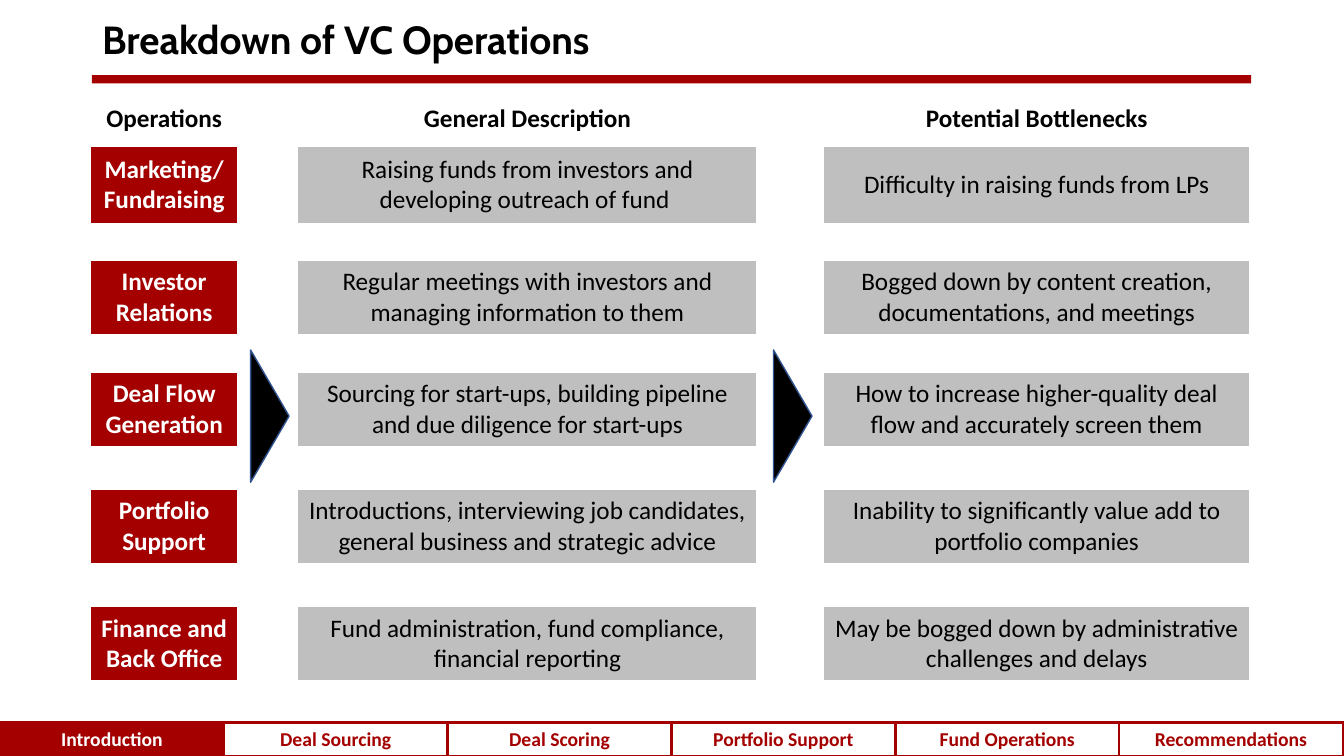
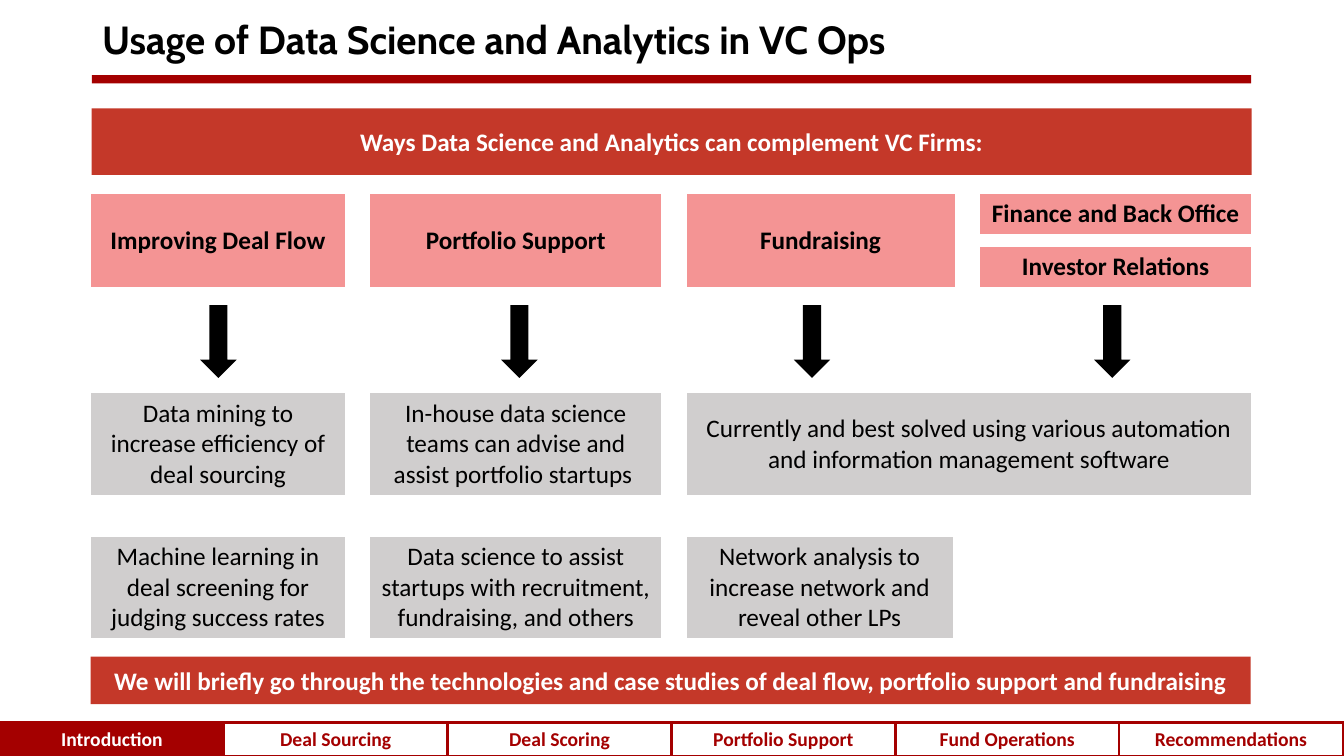
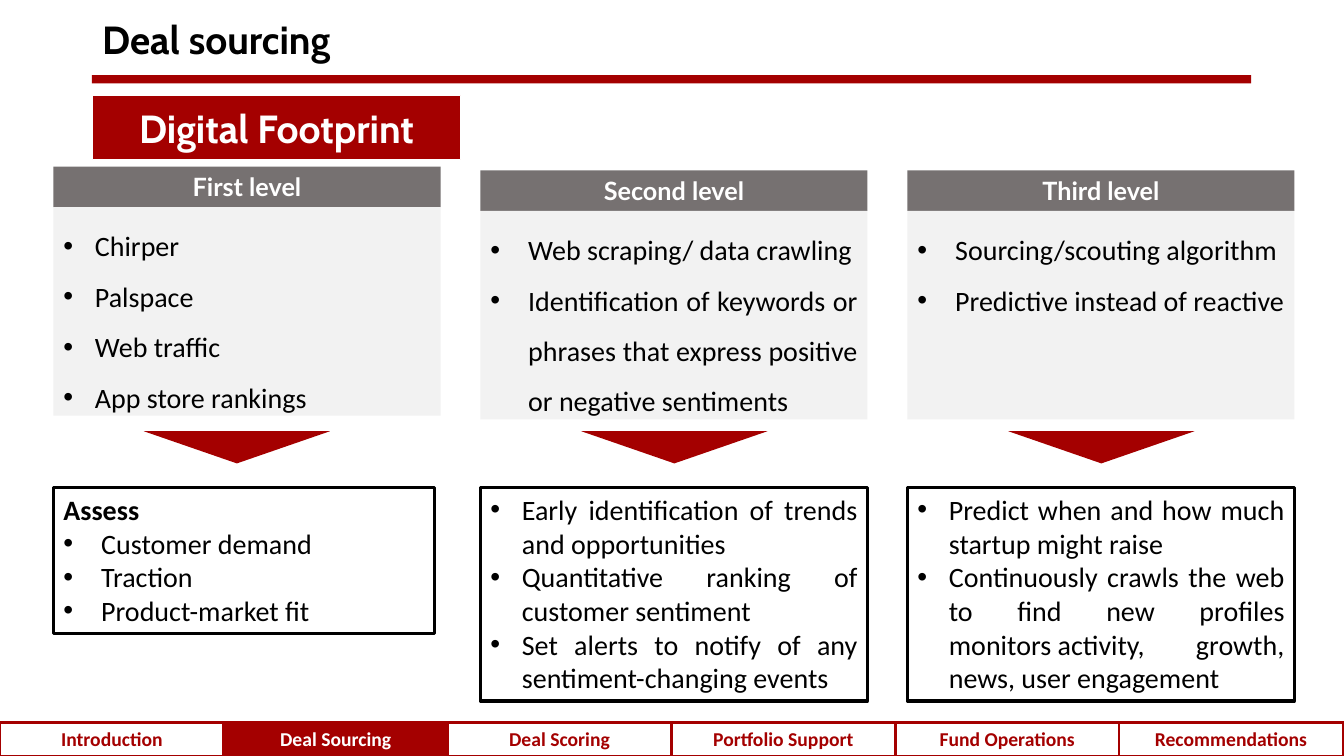
from lxml import etree
from pptx import Presentation
from pptx.dml.color import RGBColor
from pptx.enum.shapes import MSO_SHAPE
from pptx.enum.text import MSO_ANCHOR, MSO_AUTO_SIZE, PP_ALIGN
from pptx.oxml.ns import qn
from pptx.util import Pt

RECT, TRIANGLE, DOWN_ARROW = MSO_SHAPE.RECTANGLE, MSO_SHAPE.ISOSCELES_TRIANGLE, MSO_SHAPE.DOWN_ARROW
TOP, MIDDLE = MSO_ANCHOR.TOP, MSO_ANCHOR.MIDDLE
LEFT, CENTER, JUSTIFY = PP_ALIGN.LEFT, PP_ALIGN.CENTER, PP_ALIGN.JUSTIFY
NO_AUTOSIZE = MSO_AUTO_SIZE.NONE
NBSP = chr(160)

COLORS = {
    "red": "A40000", "brick": "C43829", "pink": "F49494",
    "black": "000000", "white": "FFFFFF", "navy": "325491",
    "silver": "BFBFBF", "stone": "D0CECE", "smoke": "F2F2F2", "slate": "767171",
}
HEADING, BODY, LEVEL = "Cabin", "Calibri", "Lato"
SECTIONS = ["Introduction", "Deal Sourcing", "Deal Scoring",
            "Portfolio Support", "Fund Operations", "Recommendations"]
CELL_STYLES = {
    "head": dict(fill=None, bold=True),
    "label": dict(fill="red", color="white", bold=True),
    "fact": dict(fill="silver"),
    "area": dict(fill="pink", bold=True),
    "use": dict(fill="stone"),
    "tab": dict(fill="white", color="red", bold=True, size=14),
    "active": dict(fill="red", color="white", bold=True, size=14),
}


def rgb(name):
    return RGBColor.from_string(COLORS[name])


def set_fill(fill, color):
    if color:
        fill.solid()
        fill.fore_color.rgb = rgb(color)
    else:
        fill.background()


def write(tf, text, size=18, font=BODY, color="black", bold=False,
          align=CENTER, spacing=None, indent=0):
    p = tf.paragraphs[0]
    if p.runs:
        p = tf.add_paragraph()
    p.alignment = align
    if spacing:
        p.line_spacing = spacing
    if indent:
        pPr = p._p.get_or_add_pPr()
        pPr.set("marL", str(Pt(indent)))
        pPr.set("indent", str(-Pt(indent)))
        etree.SubElement(pPr, qn("a:buFont")).set("typeface", "Arial")
        etree.SubElement(pPr, qn("a:buChar")).set("char", "•")
    r = p.add_run()
    r.text = text
    r.font.size, r.font.name, r.font.bold = Pt(size), font, bold
    r.font.color.rgb = rgb(color)


def add_box(slide, x, y, w, h, fill=None, line=None, line_width=1,
            kind=RECT, rotation=0, anchor=MIDDLE):
    sp = slide.shapes.add_shape(kind, Pt(x), Pt(y), Pt(w), Pt(h))
    sp.shadow.inherit = False
    sp.rotation = rotation
    set_fill(sp.fill, fill)
    set_fill(sp.line.fill, line)
    if line:
        sp.line.width = Pt(line_width)
    sp.text_frame.word_wrap = True
    sp.text_frame.vertical_anchor = anchor
    return sp.text_frame


def add_borders(cell, color, width):
    tcPr = cell._tc.get_or_add_tcPr()
    for side in ("lnL", "lnR", "lnT", "lnB"):
        ln = etree.SubElement(tcPr, qn("a:" + side))
        ln.set("w", str(Pt(width)))
        fill = etree.SubElement(ln, qn("a:solidFill"))
        etree.SubElement(fill, qn("a:srgbClr")).set("val", COLORS[color])


def shrink_blank(cell):
    end = etree.SubElement(cell.text_frame.paragraphs[0]._p, qn("a:endParaRPr"))
    end.set("sz", "100")
    cell.margin_top = cell.margin_bottom = 0


def add_grid(slide, x, y, widths, heights, content, merges=(), border=None):
    frame = slide.shapes.add_table(len(heights), len(widths), Pt(x), Pt(y),
                                   Pt(sum(widths)), Pt(sum(heights)))
    table = frame.table
    table.first_row = table.horz_banding = False
    for column, width in zip(table.columns, widths):
        column.width = Pt(width)
    for row, height in zip(table.rows, heights):
        row.height = Pt(height)
    for first, last in merges:
        table.cell(*first).merge(table.cell(*last))
    for i in range(len(heights)):
        for j in range(len(widths)):
            cell = table.cell(i, j)
            cell.vertical_anchor = MIDDLE
            if border:
                add_borders(cell, border, 2.25)
            text, style = content.get((i, j), ("", "head"))
            fmt = dict(CELL_STYLES[style])
            set_fill(cell.fill, fmt.pop("fill"))
            if text:
                write(cell.text_frame, text, **fmt)
            else:
                shrink_blank(cell)


def add_page(prs, title, section):
    slide = prs.slides.add_slide(prs.slide_layouts[5])
    sp = slide.shapes.title
    sp.left, sp.top, sp.width, sp.height = Pt(65.7), Pt(6), Pt(687), Pt(47.5)
    tf = sp.text_frame
    tf.auto_size, tf.vertical_anchor = NO_AUTOSIZE, MIDDLE
    write(tf, title, size=28, font=HEADING, bold=True, align=LEFT, spacing=0.9)
    add_box(slide, 65.7, 53.7, 828, 6, fill="red")
    tabs = {(0, j): (name, "active" if name == section else "tab")
            for j, name in enumerate(SECTIONS)}
    add_grid(slide, 0, 516, [159.9] * len(SECTIONS), [24], tabs, border="red")
    return slide


def operations_slide(prs):
    slide = add_page(prs, "Breakdown of VC Operations", "Introduction")
    heads = ["Operations", "General Description", "Potential Bottlenecks"]
    operations = [
        ("Marketing/ Fundraising",
         "Raising funds from investors and developing outreach of fund ",
         "Difficulty in raising funds from LPs"),
        ("Investor Relations",
         "Regular meetings with investors and managing information to them",
         "Bogged down by content creation, documentations, and meetings"),
        ("Deal Flow Generation",
         "Sourcing for start-ups, building pipeline and due diligence for start-ups",
         "How to increase higher-quality deal flow and accurately screen them"),
        ("Portfolio Support",
         "Introductions, interviewing job candidates, general business and strategic advice",
         "Inability to significantly value add to portfolio companies"),
        ("Finance and Back Office",
         "Fund administration, fund compliance, financial reporting",
         "May be bogged down by administrative challenges and delays"),
    ]
    content = {(0, 2 * j): (head, "head") for j, head in enumerate(heads)}
    for i, texts in enumerate(operations):
        for j, text in enumerate(texts):
            content[2 * i + 1, 2 * j] = (text, "fact" if j else "label")
    add_grid(slide, 64.8, 66, [105, 43, 328, 47.5, 304.5],
             [38.5, 55, 26.5, 53, 27, 53, 30.5, 53, 31, 53], content)
    for x in (145.5, 519):
        add_box(slide, x, 283.5, 94.5, 27.5, fill="black", line="navy",
                kind=TRIANGLE, rotation=90)


def analytics_slide(prs):
    slide = add_page(prs, "Usage of Data Science and Analytics in VC Ops", "Introduction")
    banners = [
        (65.5, 77.5, 47.5, "Ways Data Science and Analytics can complement VC Firms:"),
        (64.8, 469, 34, "We will briefly go through the technologies and case studies "
                        "of deal flow, portfolio support and fundraising"),
    ]
    for x, y, h, text in banners:
        write(add_box(slide, x, y, 828.5, h, fill="brick"), text, color="white", bold=True)
    widths = [182.5, 17, 208.5, 17, 192.5, 17, 194.5]
    areas = ["Improving Deal Flow", "Portfolio Support", "Fundraising", "Finance and Back Office"]
    content = {(0, 2 * j): (area, "area") for j, area in enumerate(areas)}
    content[2, 6] = ("Investor Relations", "area")
    add_grid(slide, 64.5, 138, widths, [29.5, 8.5, 29.5], content,
             merges=[((0, j), (2, j)) for j in (0, 2, 4)])
    for center in (156, 371, 580, 794.5):
        add_box(slide, center - 13, 218, 26, 52, fill="black", kind=DOWN_ARROW)
    uses = [
        ["Data mining to increase efficiency of deal sourcing",
         "In-house data science teams can advise and assist portfolio startups ",
         "Currently and best solved using various automation and information management software"],
        ["Machine learning in deal screening for judging success rates",
         "Data science to assist startups with recruitment, fundraising, and others",
         "Network analysis to increase network and reveal other LPs"],
    ]
    content = {(2 * i, 2 * j): (text, "use")
               for i, row in enumerate(uses) for j, text in enumerate(row)}
    widths[4:] = [191, 17, 196]
    add_grid(slide, 64.5, 280.5, widths, [73.5, 29, 73.5], content,
             merges=[((0, 1), (2, 1)), ((0, 3), (2, 3)), ((0, 4), (0, 6)), ((1, 4), (1, 6))])


def sourcing_slide(prs):
    slide = add_page(prs, "Deal sourcing", "Deal Sourcing")
    tf = add_box(slide, 66, 68, 263, 46, fill="red", line="white")
    write(tf, "Digital Footprint", size=28, font=HEADING, color="white", bold=True)
    levels = [
        dict(name="First level", y=119, arrow=64.5, box=(272, 104.5), align=LEFT,
             indents=(22.5, 27), heading="Assess" + NBSP,
             sources=["Chirper", "Palspace", "Web traffic", "App store rankings"],
             results=["Customer demand", "Traction", "Product-market fit"]),
        dict(name="Second level", y=121.7, arrow=72, box=(276.5, 152.5), align=JUSTIFY,
             indents=(27, 22.5), heading=None,
             sources=["Web scraping/ data crawling",
                      "Identification of keywords or phrases that express positive "
                      f"or{NBSP}negative sentiments"],
             results=["Early identification of trends and opportunities",
                      "Quantitative ranking of customer sentiment",
                      f"Set alerts to notify of any sentiment-changing{NBSP}events"]),
        dict(name="Third level", y=121.7, arrow=72, box=(276.5, 152.5), align=JUSTIFY,
             indents=(27, 22.5), heading=None,
             sources=["Sourcing/scouting algorithm", "Predictive instead of reactive"],
             results=["Predict when and how much startup might raise",
                      "Continuously crawls the web to find new profiles "
                      f"monitors{NBSP}activity, growth, news, user engagement"]),
    ]
    for i, level in enumerate(levels):
        x, y, align = 38.2 + 305 * i, level["y"], level["align"]
        source_indent, result_indent = level["indents"]
        tf = add_box(slide, x, y, 276.5, 29, fill="slate", anchor=TOP)
        write(tf, level["name"], font=LEVEL, color="white", bold=True)
        tf = add_box(slide, x, y + 29, 276.5, 149, fill="smoke", anchor=TOP)
        for text in level["sources"]:
            write(tf, text, size=20, align=align, spacing=1.5, indent=source_indent)
        add_box(slide, x + level["arrow"], 308, 133, 23, fill="red",
                kind=TRIANGLE, rotation=180)
        tf = add_box(slide, x, 348.3, *level["box"], line="black", line_width=2.25, anchor=TOP)
        if level["heading"]:
            write(tf, level["heading"], size=20, bold=True, align=LEFT)
        for text in level["results"]:
            write(tf, text, size=20, align=align, indent=result_indent)


def main():
    prs = Presentation()
    prs.slide_width, prs.slide_height = Pt(960), Pt(540)
    operations_slide(prs)
    analytics_slide(prs)
    sourcing_slide(prs)
    prs.save("out.pptx")


if __name__ == "__main__":
    main()
